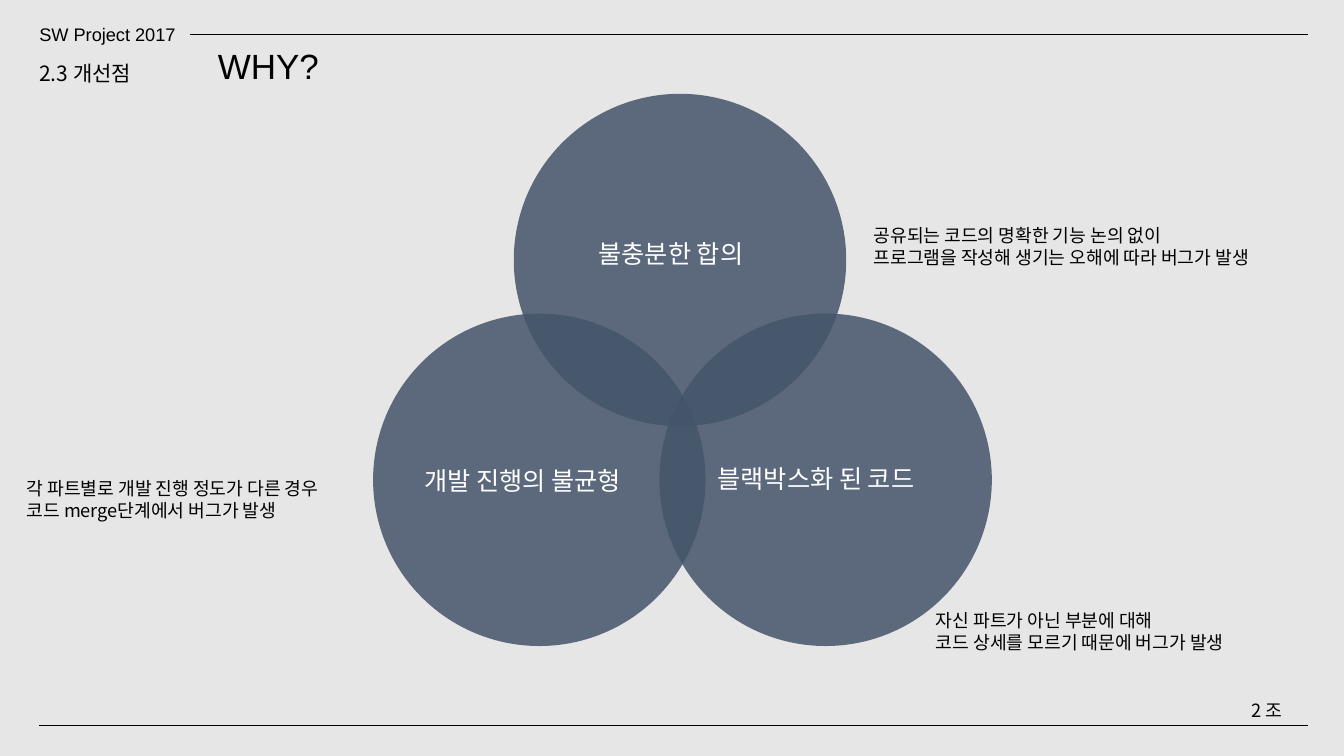
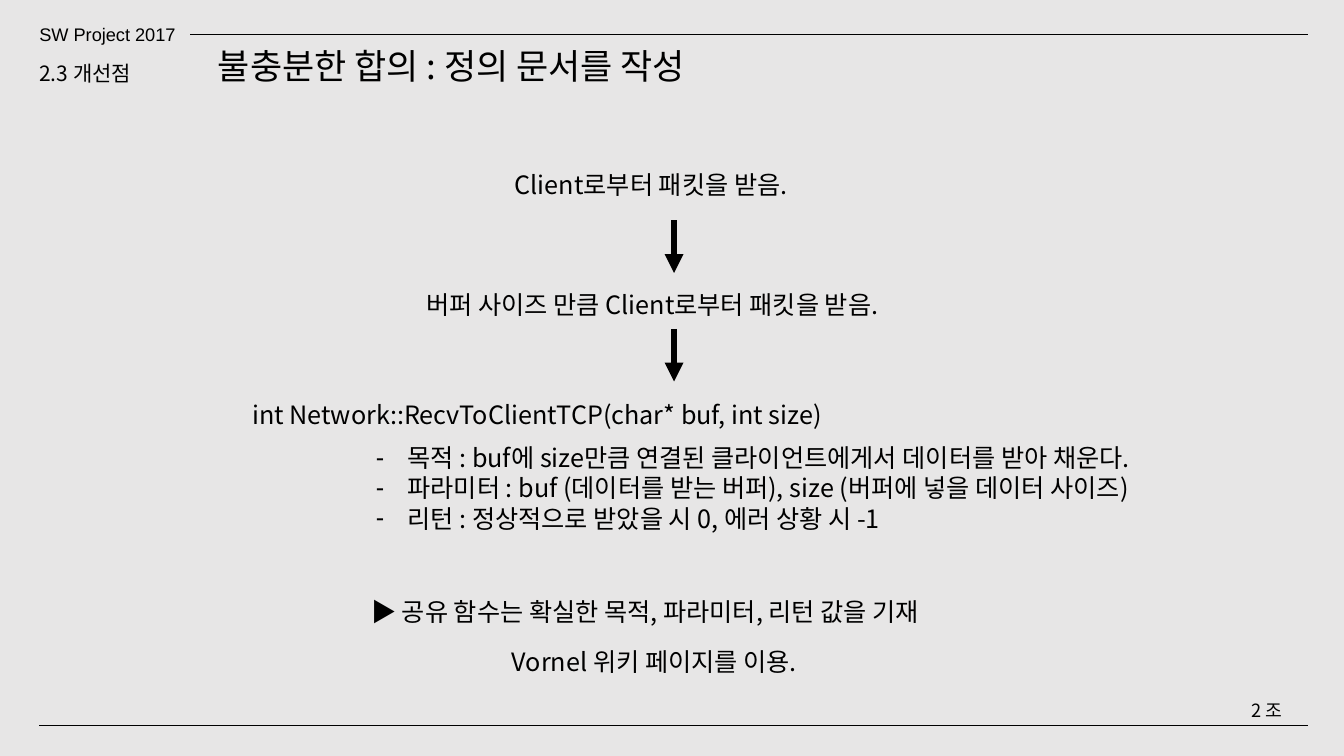
import pptx
import pptx.dml.color
import pptx.enum.shapes
import pptx.enum.text
import pptx.oxml.ns
import pptx.util
from lxml import etree

Pt = pptx.util.Pt
qn = pptx.oxml.ns.qn

BACKGROUND = "E7E6E6"
INK = "000000"
WHITE = "FFFFFF"
SLATE = "44546A"
KOREAN = "Noto Sans CJK KR"
LATIN = "Arial"
RIGHT_EDGE = 934.5
LINE_HEIGHT = 1.2
PADDING = 3.6


def color(hex_code):
    return pptx.dml.color.RGBColor.from_string(hex_code)


def add_bullet(paragraph, char, indent):
    properties = paragraph._p.get_or_add_pPr()
    properties.set("marL", str(Pt(indent)))
    properties.set("indent", str(-Pt(indent)))
    etree.SubElement(properties, qn("a:buFont"), typeface=LATIN)
    etree.SubElement(properties, qn("a:buChar"), char=char)


def write(frame, lines, size, font, ink, bullet=None):
    frame.word_wrap = True
    frame.auto_size = pptx.enum.text.MSO_AUTO_SIZE.NONE
    frame.vertical_anchor = pptx.enum.text.MSO_ANCHOR.TOP
    frame.margin_left = frame.margin_right = Pt(2 * PADDING)
    frame.margin_top = frame.margin_bottom = Pt(PADDING)
    for index, line in enumerate(lines):
        paragraph = frame.add_paragraph() if index else frame.paragraphs[0]
        paragraph.alignment = pptx.enum.text.PP_ALIGN.LEFT
        paragraph.line_spacing = Pt(size * LINE_HEIGHT)
        if bullet:
            add_bullet(paragraph, bullet, 22.5)
        run = paragraph.add_run()
        run.text = line
        run.font.size = Pt(size)
        run.font.name = font
        run.font.color.rgb = color(ink)
        etree.SubElement(run._r.get_or_add_rPr(), qn("a:ea"), typeface=KOREAN)


def add_text(slide, left, top, width, lines, size=18, font=KOREAN, ink=INK, bullet=None):
    height = len(lines) * size * LINE_HEIGHT + 2 * PADDING
    box = slide.shapes.add_textbox(Pt(left), Pt(top), Pt(width), Pt(height))
    write(box.text_frame, lines, size, font, ink, bullet)


def add_line(slide, start, end, weight=0.5, arrow=False):
    line = slide.shapes.add_connector(
        pptx.enum.shapes.MSO_CONNECTOR.STRAIGHT, *map(Pt, start + end))
    line.line.color.rgb = color(INK)
    line.line.width = Pt(weight)
    if arrow:
        etree.SubElement(line.line._get_or_add_ln(), qn("a:tailEnd"), type="triangle")
    etree.SubElement(line._element.spPr, qn("a:effectLst"))


def add_circle(slide, left, top, diameter=237.5, opacity=85):
    circle = slide.shapes.add_shape(
        pptx.enum.shapes.MSO_SHAPE.OVAL, *map(Pt, (left, top, diameter, diameter)))
    circle.shadow.inherit = False
    circle.fill.solid()
    circle.fill.fore_color.rgb = color(SLATE)
    tint = circle._element.spPr.find(".//" + qn("a:srgbClr"))
    etree.SubElement(tint, qn("a:alpha"), val=str(opacity * 1000))
    circle.line.fill.background()


def add_page(deck, heading, heading_font):
    slide = deck.slides.add_slide(deck.slide_layouts[5])
    title = slide.shapes.title
    title.left, title.top, title.width, title.height = map(Pt, (148.5, 28.5, 447, 37.5))
    write(title.text_frame, [heading], 25, heading_font, INK)
    add_line(slide, (136, 24.5), (RIGHT_EDGE, 24.5))
    add_line(slide, (28, 518), (RIGHT_EDGE, 518))
    add_text(slide, 21, 13, 115, ["SW Project 2017"], 13, LATIN)
    add_text(slide, 887, 496, 47.5, ["2 조"], 13)
    add_text(slide, 21, 39.5, 127.5, ["2.3 개선점"], 15)
    return slide


def build_causes(deck):
    slide = add_page(deck, "WHY?", LATIN)
    for left, top in ((266.5, 224), (367, 67), (471, 224)):
        add_circle(slide, left, top)
    for left, top, width, cause in (
        (420.5, 167, 132, "불충분한 합의"),
        (296, 328.5, 178, "개발 진행의 불균형"),
        (505.5, 327.5, 169, "블랙박스화 된 코드"),
    ):
        add_text(slide, left, top, width, [cause], font=LATIN, ink=WHITE)
    for left, top, width, effect in (
        (617, 157, 318, ["공유되는 코드의 명확한 기능 논의 없이",
                         "프로그램을 작성해 생기는 오해에 따라 버그가 발생"]),
        (12, 337.5, 318, ["각 파트별로 개발 진행 정도가 다른 경우",
                          "코드 merge단계에서 버그가 발생"]),
        (661.5, 432, 252, ["자신 파트가 아닌 부분에 대해",
                           "코드 상세를 모르기 때문에 버그가 발생"]),
    ):
        add_text(slide, left, top, width, effect, 13)


def build_agreement(deck):
    slide = add_page(deck, "불충분한 합의 : 정의 문서를 작성", KOREAN)
    for left, top, width, step in (
        (360.5, 117.5, 242, "Client로부터 패킷을 받음."),
        (297.5, 203, 368, "버퍼 사이즈 만큼 Client로부터 패킷을 받음."),
        (173, 282, 583, "int Network::RecvToClientTCP(char* buf, int size)"),
        (258, 422.5, 488, "▶ 공유 함수는 확실한 목적, 파라미터, 리턴 값을 기재"),
        (358.5, 458, 246, "Vornel 위키 페이지를 이용."),
    ):
        add_text(slide, left, top, width, [step])
    add_text(slide, 261.5, 312.5, 625.5, [
        "목적 : buf에 size만큼 연결된 클라이언트에게서 데이터를 받아 채운다.",
        "파라미터 : buf (데이터를 받는 버퍼), size (버퍼에 넣을 데이터 사이즈)",
        "리턴 : 정상적으로 받았을 시 0, 에러 상황 시 -1",
    ], bullet="-")
    for top in (157.5, 235):
        add_line(slide, (481.5, top), (481.5, top + 37.5), 4.5, arrow=True)


def main():
    deck = pptx.Presentation()
    deck.slide_width, deck.slide_height = Pt(960), Pt(540)
    backdrop = deck.slide_master.background.fill
    backdrop.solid()
    backdrop.fore_color.rgb = color(BACKGROUND)
    build_causes(deck)
    build_agreement(deck)
    deck.save("out.pptx")


if __name__ == "__main__":
    main()
